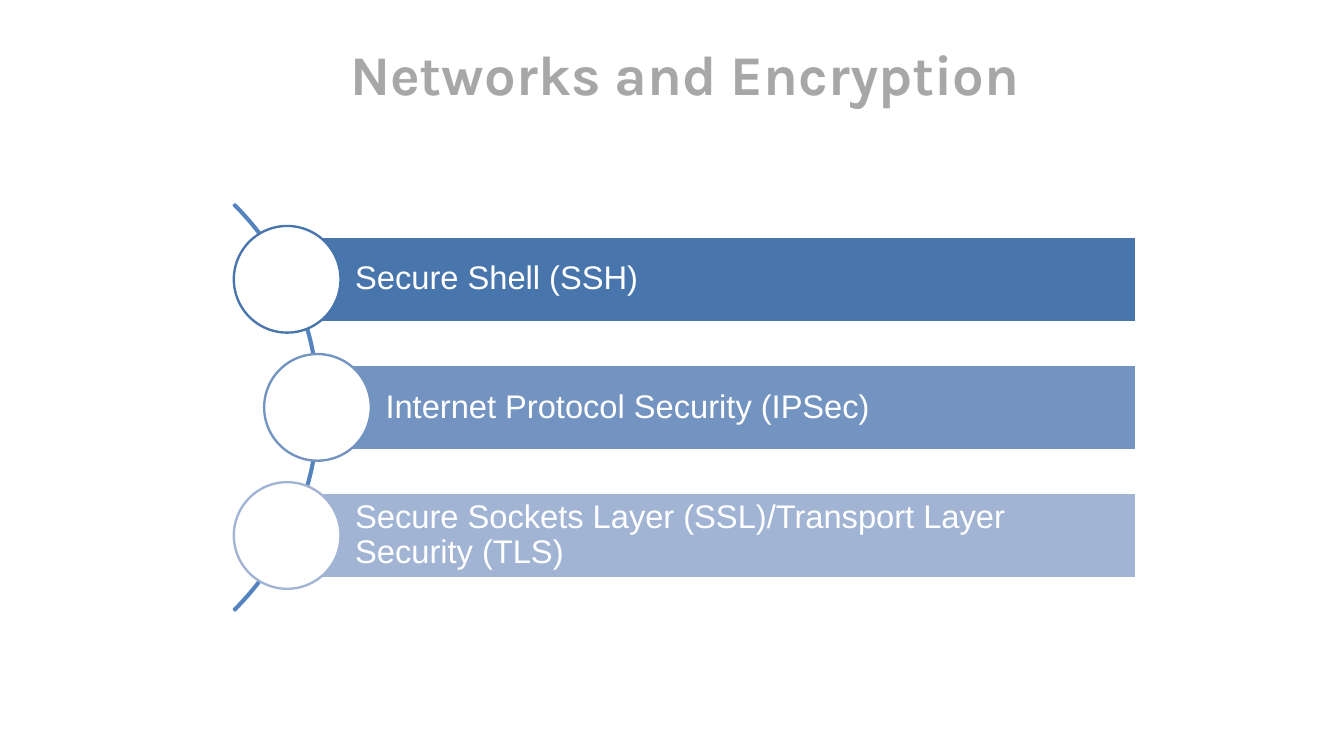
import math
import pptx
import pptx.util
import pptx.dml.color
import pptx.enum.shapes
import pptx.enum.text

Inches, Pt = pptx.util.Inches, pptx.util.Pt
MSO_SHAPE = pptx.enum.shapes.MSO_SHAPE
MSO_ANCHOR = pptx.enum.text.MSO_ANCHOR
PP_ALIGN = pptx.enum.text.PP_ALIGN

TITLE = "Networks and Encryption"
PROTOCOLS = [
    ("Secure Shell (SSH)", "4875AC"),
    ("Internet Protocol Security (IPSec)", "7393C1"),
    ("Secure Sockets Layer (SSL)/Transport Layer Security (TLS)", "A2B4D4"),
]

CENTER_X, CENTER_Y = 0.38, 4.85
ARC_RADIUS, ORBIT_RADIUS = 3.42, 3.4
PITCH, BAR_HEIGHT, BAR_RIGHT, CIRCLE = 1.525, 1.02, 13.53, 1.27


def rgb(color):
    return pptx.dml.color.RGBColor.from_string(color)


def add_shape(s, kind, left, top, width, height, fill, line):
    sp = s.shapes.add_shape(kind, Inches(left), Inches(top), Inches(width), Inches(height))
    sp.shadow.inherit = False
    if fill:
        sp.fill.solid()
        sp.fill.fore_color.rgb = rgb(fill)
    else:
        sp.fill.background()
    sp.line.color.rgb = rgb(line)
    sp.line.width = Pt(2)
    return sp


def write(sp, text, font, size, color, align, insets, bold=False):
    tf = sp.text_frame
    tf.word_wrap = True
    tf.vertical_anchor = MSO_ANCHOR.MIDDLE
    tf.margin_left, tf.margin_top, tf.margin_right, tf.margin_bottom = map(Inches, insets)
    p = tf.paragraphs[0]
    p.alignment = align
    r = p.add_run()
    r.text = text
    r.font.name = font
    r.font.size = Pt(size)
    r.font.bold = bold
    r.font.color.rgb = rgb(color)
    return p


def main():
    prs = pptx.Presentation()
    prs.slide_width, prs.slide_height = Inches(16), Inches(9)
    s = prs.slides.add_slide(prs.slide_layouts[5])

    title = s.shapes.title
    title.left, title.top = Inches(2.71), Inches(0.4)
    title.width, title.height = Inches(10.89), Inches(0.94)
    write(title, TITLE, "Karla", 48, "A7A7A7", PP_ALIGN.CENTER, [0.07] * 4, True)

    arc = add_shape(s, MSO_SHAPE.BLOCK_ARC, CENTER_X - ARC_RADIUS, CENTER_Y - ARC_RADIUS,
                    2 * ARC_RADIUS, 2 * ARC_RADIUS, None, "5483BE")
    for i, value in enumerate((189, 27, 0.003)):
        arc.adjustments[i] = value

    for i, (text, color) in enumerate(PROTOCOLS):
        dy = (i - (len(PROTOCOLS) - 1) / 2) * PITCH
        x = CENTER_X + math.sqrt(ORBIT_RADIUS ** 2 - dy ** 2)
        y = CENTER_Y + dy
        bar = add_shape(s, MSO_SHAPE.RECTANGLE, x, y - BAR_HEIGHT / 2,
                        BAR_RIGHT - x, BAR_HEIGHT, color, "FFFFFF")
        p = write(bar, text, "Arial", 28, "FFFFFF", PP_ALIGN.LEFT, (0.81, 0.08, 0.08, 0.08))
        p.line_spacing = 0.9
        add_shape(s, MSO_SHAPE.OVAL, x - CIRCLE / 2, y - CIRCLE / 2, CIRCLE, CIRCLE,
                  "FFFFFF", color)

    prs.save("out.pptx")


if __name__ == "__main__":
    main()
